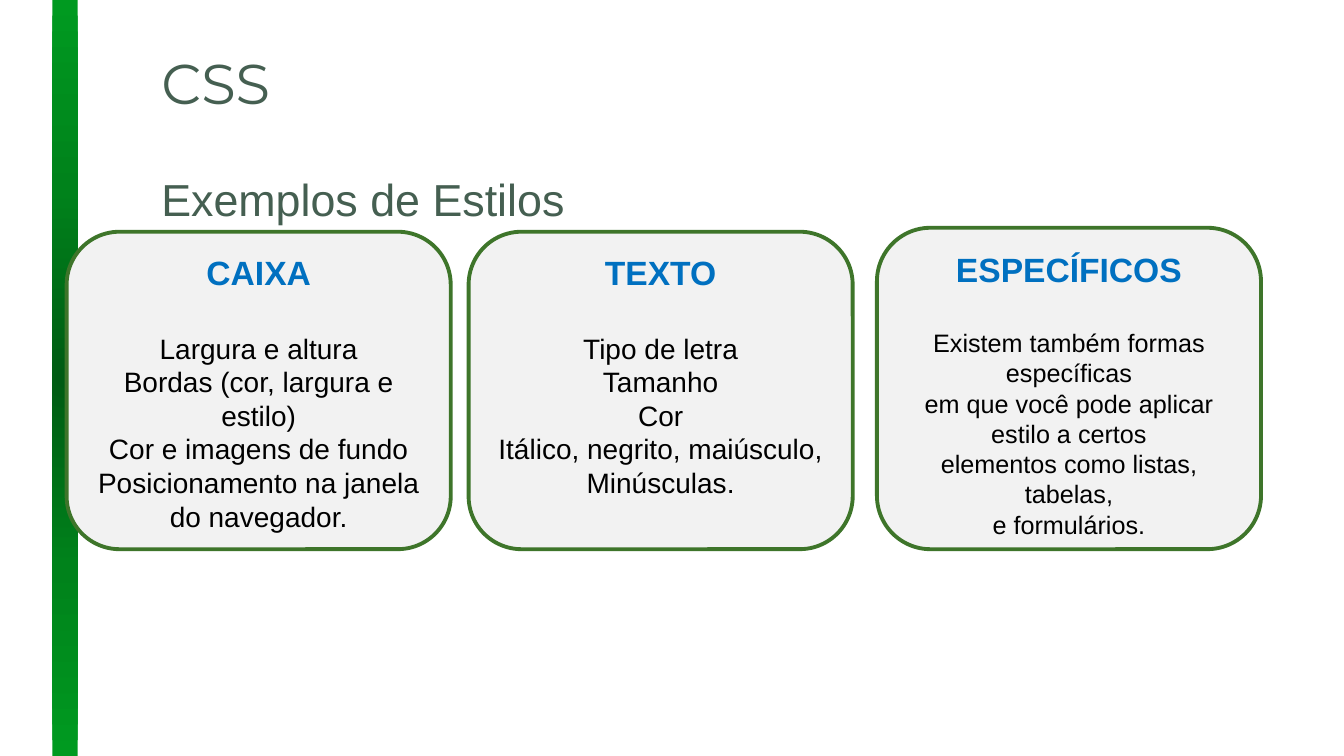
import pptx
import pptx.util
import pptx.dml.color
import pptx.enum.shapes
import pptx.enum.text
import pptx.oxml
import pptx.oxml.ns
from pptx.util import Cm

RGBColor = pptx.dml.color.RGBColor
SHAPE = pptx.enum.shapes.MSO_SHAPE
ALIGN = pptx.enum.text.PP_ALIGN
ANCHOR = pptx.enum.text.MSO_ANCHOR

GREY_GREEN = RGBColor(0x45, 0x5F, 0x51)
CARD_FILL = RGBColor(0xF2, 0xF2, 0xF2)
CARD_LINE = RGBColor(0x3E, 0x75, 0x2A)
BLUE = RGBColor(0x00, 0x70, 0xC0)
BLACK = RGBColor(0x00, 0x00, 0x00)
BAR_STOPS = [(0, RGBColor(0x00, 0x5B, 0x13)),
             (50, RGBColor(0x00, 0x82, 0x1B)),
             (100, RGBColor(0x00, 0x9A, 0x20))]

CARD_WIDTH = Cm(9.68)
CARD_BOTTOM = Cm(13.84)

# Left, top, body size, heading, body lines
CARDS = [
    (Cm(1.68), Cm(5.84), 20, "CAIXA",
     ["Largura e altura", "Bordas (cor, largura e estilo)",
      "Cor e imagens de fundo", "Posicionamento na janela do navegador."]),
    (Cm(11.81), Cm(5.84), 20, "TEXTO",
     ["Tipo de letra", "Tamanho", "Cor",
      "Itálico, negrito, maiúsculo,", "Minúsculas."]),
    (Cm(22.1), Cm(5.74), 18, "ESPECÍFICOS",
     ["Existem também formas específicas",
      "em que você pode aplicar estilo a certos",
      "elementos como listas, tabelas,", "e formulários."]),
]


def write(p, text, size, color, font="Arial", bold=False, align=ALIGN.LEFT,
          before=0, after=0, spacing=1.0):
    """Fill one paragraph with formatted text."""
    p.alignment = align
    p.space_before = pptx.util.Pt(before)
    p.space_after = pptx.util.Pt(after)
    p.line_spacing = spacing
    r = p.add_run()
    r.text = text
    r.font.size = pptx.util.Pt(size)
    r.font.name = font
    r.font.bold = bold
    r.font.color.rgb = color


def add_bar(s):
    """Side bar, dark in the middle and lighter towards its ends."""
    sp = s.shapes.add_shape(SHAPE.RECTANGLE, Cm(1.32), 0, Cm(0.64), Cm(19.05))
    sp.shadow.inherit = False
    sp.line.fill.background()
    stops = "".join(
        f'<a:gs pos="{pos * 1000}"><a:srgbClr val="{color}"/></a:gs>'
        for pos, color in BAR_STOPS)
    gradient = pptx.oxml.parse_xml(
        f'<a:gradFill {pptx.oxml.ns.nsdecls("a")} rotWithShape="1">'
        f'<a:gsLst>{stops}</a:gsLst><a:path path="circle">'
        '<a:fillToRect l="50000" t="50000" r="50000" b="50000"/>'
        '</a:path></a:gradFill>')
    sp._element.spPr.find(pptx.oxml.ns.qn("a:prstGeom")).addnext(gradient)


def fill_placeholder(sp, top, height, text, size, **fmt):
    """Place a title or body placeholder and write its single line."""
    sp.left, sp.top, sp.width, sp.height = Cm(3.81), top, Cm(26.67), height
    tf = sp.text_frame
    tf.auto_size = pptx.enum.text.MSO_AUTO_SIZE.NONE
    tf.vertical_anchor = ANCHOR.TOP
    p = tf.paragraphs[0]
    write(p, text, size, GREY_GREEN, **fmt)
    pPr = p._p.get_or_add_pPr()
    pPr.set("marL", "0")
    pPr.set("indent", "0")
    pPr.append(pptx.oxml.parse_xml(
        f'<a:buNone {pptx.oxml.ns.nsdecls("a")}/>'))


def add_card(s, left, top, size, heading, lines):
    """Rounded card with a blue heading and centred lines."""
    sp = s.shapes.add_shape(SHAPE.ROUNDED_RECTANGLE, left, top,
                            CARD_WIDTH, CARD_BOTTOM - top)
    sp.shadow.inherit = False
    sp.fill.solid()
    sp.fill.fore_color.rgb = CARD_FILL
    sp.line.color.rgb = CARD_LINE
    sp.line.width = pptx.util.Pt(2.75)
    tf = sp.text_frame
    tf.word_wrap = True
    tf.vertical_anchor = ANCHOR.TOP
    write(tf.paragraphs[0], heading, 24, BLUE, bold=True, align=ALIGN.CENTER)
    for i, line in enumerate(lines):
        write(tf.add_paragraph(), line, size, BLACK, align=ALIGN.CENTER,
              before=0 if i else 27.6)


def main():
    prs = pptx.Presentation()
    prs.slide_width, prs.slide_height = Cm(33.87), Cm(19.05)
    s = prs.slides.add_slide(prs.slide_layouts[1])

    # Side bar, behind the text
    add_bar(s)
    bar = s.shapes[-1]._element
    s.shapes.title._element.addprevious(bar)

    # Title and subtitle
    fill_placeholder(s.shapes.title, Cm(1.3), Cm(2.26), "CSS", 40,
                     font="Montserrat", spacing=0.89)
    fill_placeholder(s.placeholders[1], Cm(4.32), Cm(13.03),
                     "Exemplos de Estilos", 32,
                     before=10, after=2, spacing=0.94)

    # Cards
    for card in CARDS:
        add_card(s, *card)

    prs.save("out.pptx")


if __name__ == "__main__":
    main()
